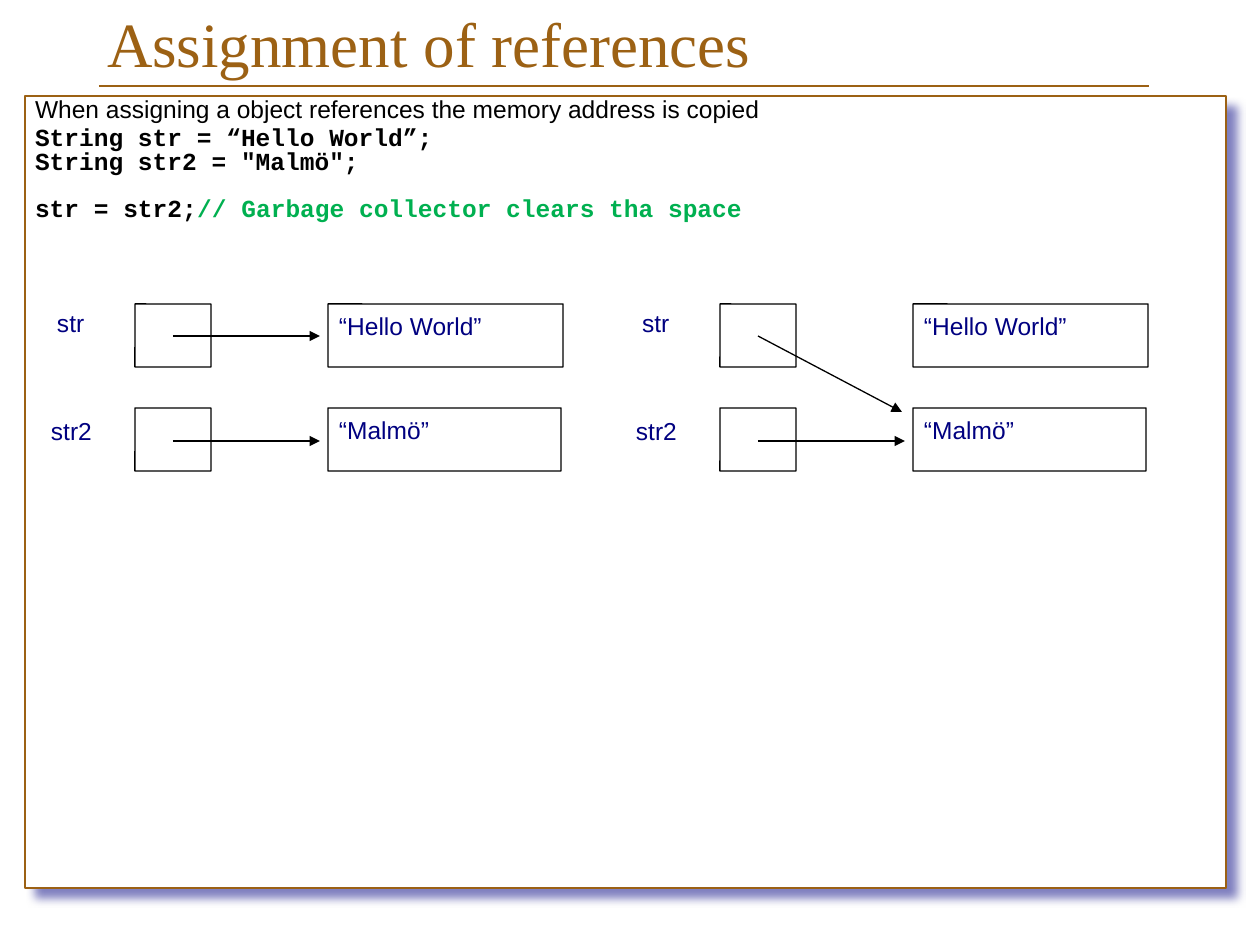
from dataclasses import dataclass

from lxml.etree import SubElement
from pptx import Presentation
from pptx.dml.color import RGBColor
from pptx.enum.shapes import MSO_CONNECTOR as Connector, MSO_SHAPE as Shape
from pptx.enum.text import MSO_ANCHOR as Anchor, MSO_AUTO_SIZE as AutoSize, PP_ALIGN as Align
from pptx.oxml.ns import qn
from pptx.util import Pt


@dataclass(frozen=True)
class Theme:
    brown: RGBColor = RGBColor(0x9C, 0x61, 0x14)
    navy: RGBColor = RGBColor(0x00, 0x00, 0x80)
    green: RGBColor = RGBColor(0x00, 0xB0, 0x50)
    black: RGBColor = RGBColor(0x00, 0x00, 0x00)
    white: RGBColor = RGBColor(0xFF, 0xFF, 0xFF)
    title_size: int = 36
    body_size: int = 14
    line_width: float = 0.75
    title_font: str = "Times New Roman"
    body_font: str = "Arial"
    code_font: str = "Courier New"


theme = Theme()
SCALE = 914400 / 126


def px(*lengths):
    return [round(length * SCALE) for length in lengths]


def write(shape, paragraphs, margins, anchor=Anchor.TOP):
    left, top, right, bottom = px(*margins)
    frame_format = {
        "word_wrap": True,
        "auto_size": AutoSize.NONE,
        "vertical_anchor": anchor,
        "margin_left": left,
        "margin_top": top,
        "margin_right": right,
        "margin_bottom": bottom,
    }
    frame = shape.text_frame
    for name, value in frame_format.items():
        setattr(frame, name, value)
    for index, (spacing, before, runs) in enumerate(paragraphs):
        paragraph = frame.add_paragraph() if index else frame.paragraphs[0]
        paragraph_format = {
            "alignment": Align.LEFT,
            "line_spacing": spacing,
            "space_before": Pt(before),
        }
        for name, value in paragraph_format.items():
            setattr(paragraph, name, value)
        for text, font, size, color, bold in runs:
            run = paragraph.add_run()
            run.text = text
            for name, value in {"name": font, "size": Pt(size), "bold": bold}.items():
                setattr(run.font, name, value)
            run.font.color.rgb = color


presentation = Presentation()
presentation.slide_width, presentation.slide_height = px(1260, 945)
slide = presentation.slides.add_slide(presentation.slide_layouts[5])
shapes = slide.shapes
slide.background.fill.solid()
slide.background.fill.fore_color.rgb = theme.white

title = shapes.title
title_box = dict(zip(("left", "top", "width", "height"), px(94, 33, 1076, 53)))
for name, value in title_box.items():
    setattr(title, name, value)
title_run = ("Assignment of references", theme.title_font, theme.title_size, theme.brown, False)
write(title, [(1.0, 0, [title_run])], (13, 6, 13, 6), Anchor.BOTTOM)

panel = shapes.add_shape(Shape.RECTANGLE, *px(25, 96, 1201, 792))
panel.fill.solid()
panel.fill.fore_color.rgb = theme.white
panel.line.color.rgb = theme.brown
panel.line.width = Pt(theme.line_width)
panel.shadow.inherit = False
effects = panel._element.spPr.find(qn("a:effectLst"))
shadow = SubElement(
    effects, qn("a:outerShdw"), blurRad=str(Pt(5)), dist=str(Pt(8.5)), dir="2700000", algn="tl", rotWithShape="0"
)
shadow_color = SubElement(shadow, qn("a:srgbClr"), val=str(theme.navy))
SubElement(shadow_color, qn("a:alpha"), val="50000")

intro = ("When assigning a object references the memory address is copied",
         theme.body_font, theme.body_size, theme.black, False)
code = (theme.code_font, theme.body_size)
code_paragraphs = [
    (0.93, 0, [intro]),
    (0.94, 0, [("String str = “Hello World”;", *code, theme.black, True)]),
    (0.8, 0, [("String str2 = \"Malmö\";", *code, theme.black, True)]),
    (0.8, 13, [
        ("str = str2;", *code, theme.black, True),
        ("// Garbage collector clears tha space", *code, theme.green, True),
    ]),
]
write(shapes.add_textbox(*px(35, 96, 1105, 231)), code_paragraphs, (0, 1, 0, 0))

label_style = (theme.body_font, theme.body_size, theme.navy, False)
rows = [
    (304, "str", 57, 310, 42, "“Hello World”", 235),
    (408, "str2", 51, 418, 63, "“Malmö”", 233),
]
arrow_ends = [[(320, 336), (320, 441)], [(902, 412), (905, 441)]]

for offset, ends in zip((0, 585), arrow_ends):
    for (top, variable, label_left, label_top, label_width, content, width), end in zip(rows, ends):
        label = shapes.add_textbox(*px(offset + label_left, label_top, label_width, 48))
        write(label, [(0.95, 0, [(variable, *label_style)])], (0, 0, 0, 0))

        for box_left, box_width in ((135, 76), (328, width)):
            box = shapes.add_shape(Shape.ROUNDED_RECTANGLE, *px(offset + box_left, top, box_width, 63))
            box.adjustments[0] = 0.003
            box.fill.background()
            box.line.color.rgb = theme.black
            box.line.width = Pt(theme.line_width)
            box.shadow.inherit = False

        value_text = shapes.add_textbox(*px(offset + 339, top + 9, 213, 47))
        write(value_text, [(0.93, 0, [(content, *label_style)])], (0, 1, 0, 0))

strokes = [((99, 86), (1149, 86), theme.brown, False)]
for offset, ends in zip((0, 585), arrow_ends):
    for start_top, end in zip((336, 441), ends):
        strokes.append(((offset + 173, start_top), end, theme.black, True))

for start, end, color, has_arrowhead in strokes:
    stroke = shapes.add_connector(Connector.STRAIGHT, *px(*start, *end))
    stroke.line.color.rgb = color
    stroke.line.width = Pt(theme.line_width)
    if has_arrowhead:
        SubElement(stroke.line._get_or_add_ln(), qn("a:tailEnd"), type="triangle")
    SubElement(stroke._element.spPr, qn("a:effectLst"))

presentation.save("out.pptx")
